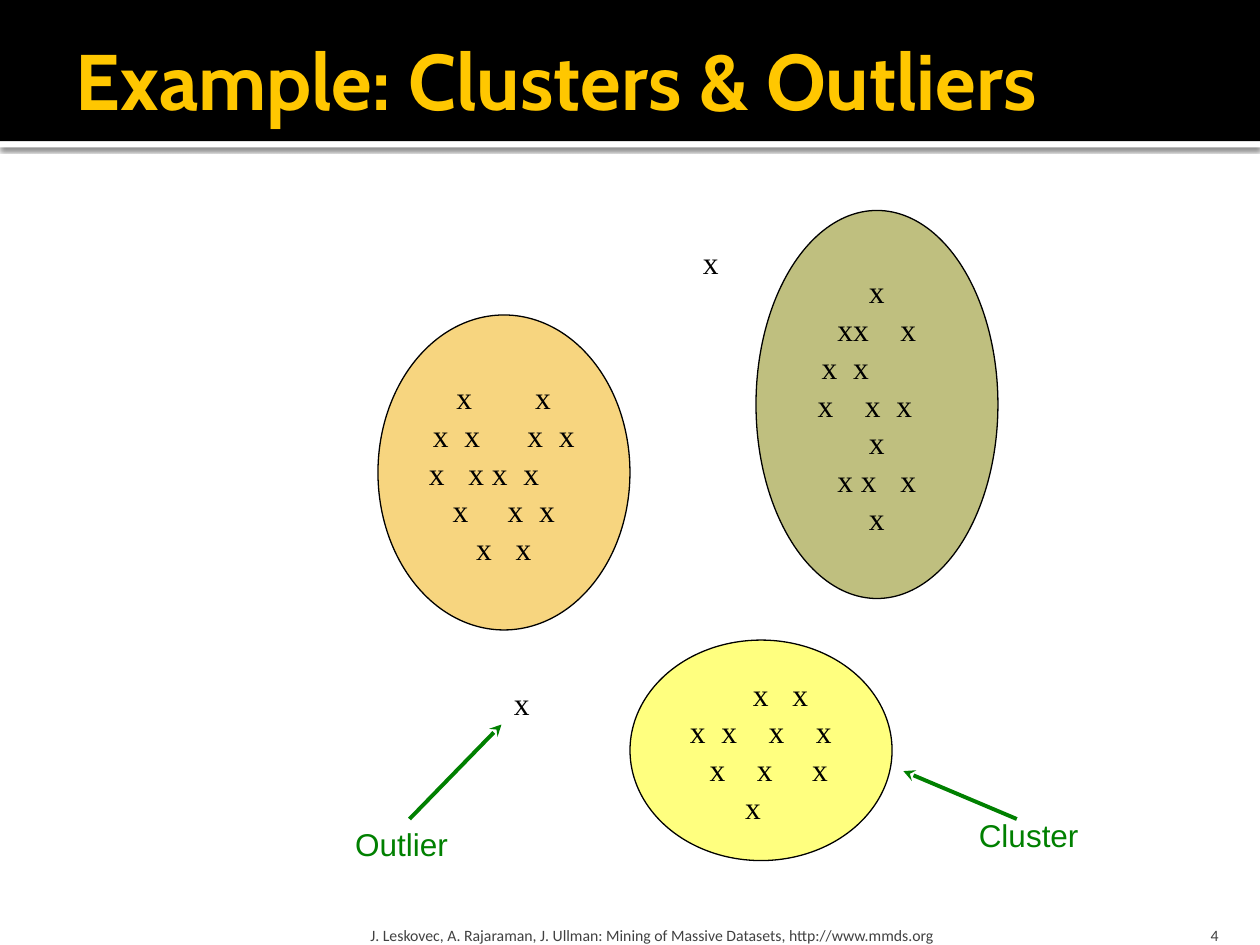
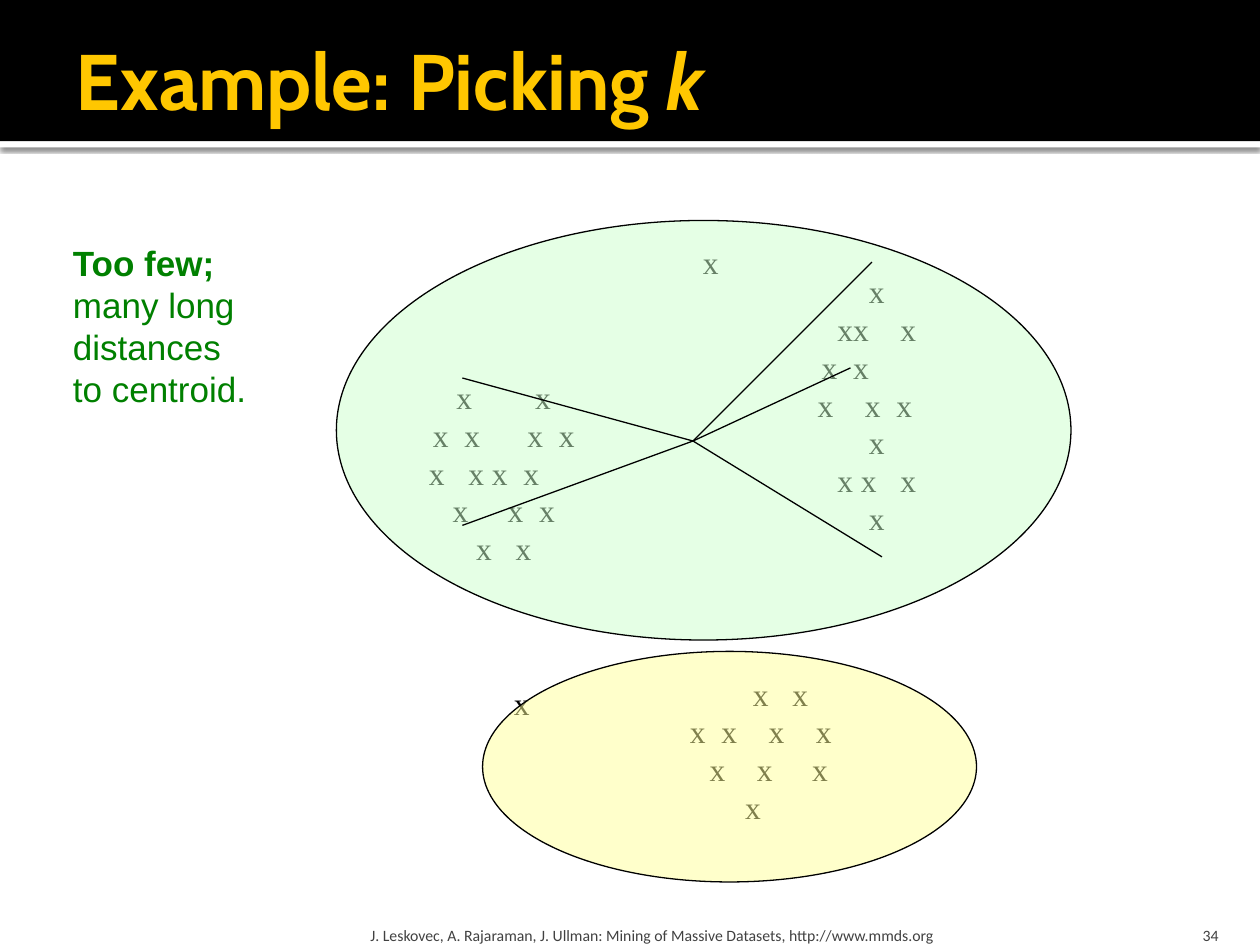
from dataclasses import dataclass

from lxml import etree
from pptx import Presentation
from pptx.dml.color import RGBColor
from pptx.enum.shapes import MSO_CONNECTOR, MSO_SHAPE
from pptx.enum.text import MSO_ANCHOR, MSO_AUTO_SIZE, PP_ALIGN
from pptx.oxml.ns import qn
from pptx.util import Inches, Pt

RECT, OVAL, STRAIGHT = MSO_SHAPE.RECTANGLE, MSO_SHAPE.OVAL, MSO_CONNECTOR.STRAIGHT
TOP, MIDDLE, BOTTOM = MSO_ANCHOR.TOP, MSO_ANCHOR.MIDDLE, MSO_ANCHOR.BOTTOM
LEFT, RIGHT = PP_ALIGN.LEFT, PP_ALIGN.RIGHT
NO_FIT = MSO_AUTO_SIZE.NONE

# Shared style
BLACK, WHITE, GOLD, GREEN, GREY = "000000", "FFFFFF", "FFC700", "008000", "414141"
TITLE_FONT, FOOT_FONT, LABEL_FONT, POINT_FONT = "Cabin", "Calibri", "Arial", "Times New Roman"
FOOTER = "J. Leskovec, A. Rajaraman, J. Ullman: Mining of Massive Datasets, http://www.mmds.org"
TITLE_ONLY = 5
LEADING = 1.2  # line pitch as a multiple of the text size
CELL = 0.0625  # data points sit on columns a quarter of the text size wide
SHORT_GAPS = {2: "", 3: " "}  # an "x" is two columns wide, a space one
INSET = 0.1
INSCRIBED = 0.7071  # share of an oval's width that holds text


@dataclass(frozen=True)
class Box:
    left: float
    top: float
    width: float
    height: float

    def emu(self) -> list:
        return [Inches(v) for v in (self.left, self.top, self.width, self.height)]


@dataclass(frozen=True)
class Cluster:
    """An oval of data points; rows give columns counted from the centre."""
    box: Box
    color: str
    rows: tuple


@dataclass(frozen=True)
class Label:
    box: Box
    text: str
    font: str = LABEL_FONT
    size: float = 18
    color: str = GREEN
    align: int = LEFT
    anchor: int = TOP
    insets: tuple = (INSET, 0.05, INSET, 0.05)


CLUSTERS = (
    Cluster(Box(3, 2.5, 2, 2.5), "F0AD00",
            ((-6, 4), (-9, -5, 3, 7), (-9.5, -4.5, -1.5, 2.5), (-6.5, 0.5, 4.5), (-3.5, 1.5))),
    Cluster(Box(6, 1.67, 1.92, 3.08), "808000",
            ((-1,), (-5, -3, 3), (-7, -3), (-7.5, -1.5, 2.5), (-1,), (-5, -2, 3), (-1,))),
    Cluster(Box(5, 5.08, 2.08, 1.75), "FFFF00",
            ((-1, 4), (-9, -5, 1, 7), (-6.5, -0.5, 6.5), (-2,))),
)
OUTLIERS = ((5.48, 1.88), (3.98, 5.38))

# Callouts of the first slide: label and its arrow
CALLOUTS = (
    (Label(Box(2.72, 6.5, 0.95, 0.4), "Outlier"), (3.25, 6.5), (3.98, 5.75)),
    (Label(Box(7.67, 6.43, 1, 0.4), "Cluster"), (8.07, 6.5), (7.17, 6.12)),
)

# Two large clusters of the second slide and the distances to one centroid
MERGED = ((Box(2.67, 1.75, 5.83, 3.33), "CCFFCC"), (Box(3.83, 5.17, 3.92, 1.83), "FFFF99"))
CENTROID = (5.5, 3.5)
FAR_POINTS = ((3.67, 3), (3.67, 4.17), (7, 4.42), (6.75, 2.92), (6.92, 2.08))
NOTE = Label(Box(0.48, 1.87, 1.59, 1.45), "Too few;\nmany long\ndistances\nto centroid.", size=20)


def rgb(color: str) -> RGBColor:
    return RGBColor.from_string(color)


def style_run(r, font: str, size: float, color: str, bold: bool = False) -> None:
    r.font.name, r.font.size, r.font.bold = font, Pt(size), bold
    r.font.color.rgb = rgb(color)


def set_frame(tf, anchor: int, insets: tuple) -> None:
    tf.word_wrap, tf.auto_size, tf.vertical_anchor = True, NO_FIT, anchor
    tf.margin_left, tf.margin_top, tf.margin_right, tf.margin_bottom = map(Inches, insets)


def style_paragraphs(tf, font: str, size: float, color: str, align: int = LEFT) -> None:
    for p in tf.paragraphs:
        p.alignment, p.line_spacing = align, Pt(size * LEADING)
        for r in p.runs:
            style_run(r, font, size, color)


def add_label(slide, label: Label):
    tf = slide.shapes.add_textbox(*label.box.emu()).text_frame
    set_frame(tf, label.anchor, label.insets)
    tf.text = label.text
    style_paragraphs(tf, label.font, label.size, label.color, label.align)
    return tf


def add_shape(slide, kind: int, box: Box, fill: str = ""):
    sp = slide.shapes.add_shape(kind, *box.emu())
    sp.shadow.inherit = False
    sp.line.fill.background()
    if fill:
        sp.fill.solid()
        sp.fill.fore_color.rgb = rgb(fill)
    else:
        sp.fill.background()
    return sp


def add_oval(slide, box: Box, color: str = ""):
    """A half-transparent outlined oval, or a bare one when no colour is given."""
    sp = add_shape(slide, OVAL, box, color)
    if color:
        clr = sp.element.spPr.find(qn("a:solidFill")).find(qn("a:srgbClr"))
        etree.SubElement(clr, qn("a:alpha"), val="50000")
        sp.line.color.rgb, sp.line.width = rgb(BLACK), Pt(0.75)
    return sp


def lay_out_row(columns: tuple) -> tuple:
    """Text of a row and its tab columns; short gaps need no tab."""
    text, stops = "\tx", [columns[0]]
    for before, column in zip(columns, columns[1:]):
        gap = SHORT_GAPS.get(column - before, "\t")
        text += gap + "x"
        if gap == "\t":
            stops.append(column)
    return text, stops


def add_tab_stops(p, stops: list, centre: float) -> None:
    tabs = etree.SubElement(p._p.get_or_add_pPr(), qn("a:tabLst"))
    for column in stops:
        etree.SubElement(tabs, qn("a:tab"), pos=str(Inches(centre + column * CELL)), algn="l")


def add_cluster(slide, cluster: Cluster, filled: bool) -> None:
    tf = add_oval(slide, cluster.box, cluster.color if filled else "").text_frame
    set_frame(tf, MIDDLE, (INSET, 0.05, INSET, 0.05))
    rows = [lay_out_row(row) for row in cluster.rows]
    tf.text = "\n".join(text for text, _ in rows)
    style_paragraphs(tf, POINT_FONT, 18, BLACK)
    centre = cluster.box.width * INSCRIBED / 2 - INSET
    for p, (_, stops) in zip(tf.paragraphs, rows):
        add_tab_stops(p, stops, centre)


def add_data(slide, filled: bool) -> None:
    for cluster in CLUSTERS:
        add_cluster(slide, cluster, filled)
    for left, top in OUTLIERS:
        add_label(slide, Label(Box(left, top, 0.37, 0.5), "x", POINT_FONT, color=BLACK))


def add_line(slide, start: tuple, end: tuple, color: str, width: float, arrow: bool = False) -> None:
    cxn = slide.shapes.add_connector(STRAIGHT, *map(Inches, start + end))
    cxn.line.color.rgb, cxn.line.width = rgb(color), Pt(width)
    if arrow:
        ln = cxn.element.spPr.find(qn("a:ln"))
        etree.SubElement(ln, qn("a:tailEnd"), type="stealth")
    etree.SubElement(cxn.element.spPr, qn("a:effectLst"))


def add_bands(slide) -> None:
    """Put the header bands on the slide's layout, behind its placeholders."""
    strip = add_shape(slide, RECT, Box(0, 1.12, 10, 0.05), WHITE)
    effects = strip.element.spPr.find(qn("a:effectLst"))
    shadow = etree.SubElement(effects, qn("a:outerShdw"), blurRad=str(Pt(2.5)),
                              dist=str(Pt(0.8)), dir="5400000", rotWithShape="0")
    clr = etree.SubElement(shadow, qn("a:srgbClr"), val=BLACK)
    etree.SubElement(clr, qn("a:alpha"), val="60000")
    header = add_shape(slide, RECT, Box(0, 0, 10, 1.12), BLACK)
    tree = slide.slide_layout.shapes.element
    for i, band in enumerate((strip, header)):
        tree.insert(2 + i, band.element)


def new_slide(prs, title: str, number: int, italic_end: str = ""):
    slide = prs.slides.add_slide(prs.slide_layouts[TITLE_ONLY])
    sp = slide.shapes.title
    sp.left, sp.top, sp.width, sp.height = Box(0.5, 0.17, 9, 0.92).emu()
    tf = sp.text_frame
    set_frame(tf, MIDDLE, (INSET, 0.05, 0.05, 0.05))
    tf.text = title
    p = tf.paragraphs[0]
    p.alignment = LEFT
    if italic_end:
        r = p.add_run()
        r.text, r.font.italic = italic_end, True
    for r in p.runs:
        style_run(r, TITLE_FONT, 45, GOLD, bold=True)
    # Footer and slide number
    add_label(slide, Label(Box(2.89, 7.2, 6.02, 0.3), FOOTER, FOOT_FONT, 9, GREY,
                           anchor=BOTTOM, insets=(0.05, 0.05, 0.05, 0)))
    add_label(slide, Label(Box(8.97, 7.2, 0.8, 0.3), str(number), FOOT_FONT, 9, GREY,
                           RIGHT, BOTTOM, (INSET, 0.05, INSET, 0)))
    return slide


def build_clusters(prs) -> None:
    slide = new_slide(prs, "Example: Clusters & Outliers", 4)
    add_bands(slide)
    add_data(slide, filled=True)
    for label, start, end in CALLOUTS:
        add_line(slide, start, end, GREEN, 2.25, arrow=True)
        add_label(slide, label)


def build_picking_k(prs) -> None:
    slide = new_slide(prs, "Example: Picking ", 34, italic_end="k")
    add_data(slide, filled=False)
    for box, color in MERGED:
        add_oval(slide, box, color)
    for point in FAR_POINTS:
        add_line(slide, CENTROID, point, BLACK, 0.75)
    tf = add_label(slide, NOTE)
    tf.paragraphs[0].runs[0].font.bold = True


def main() -> None:
    prs = Presentation()
    prs.slide_width, prs.slide_height = Inches(10), Inches(7.5)
    build_clusters(prs)
    build_picking_k(prs)
    prs.save("out.pptx")


if __name__ == "__main__":
    main()
